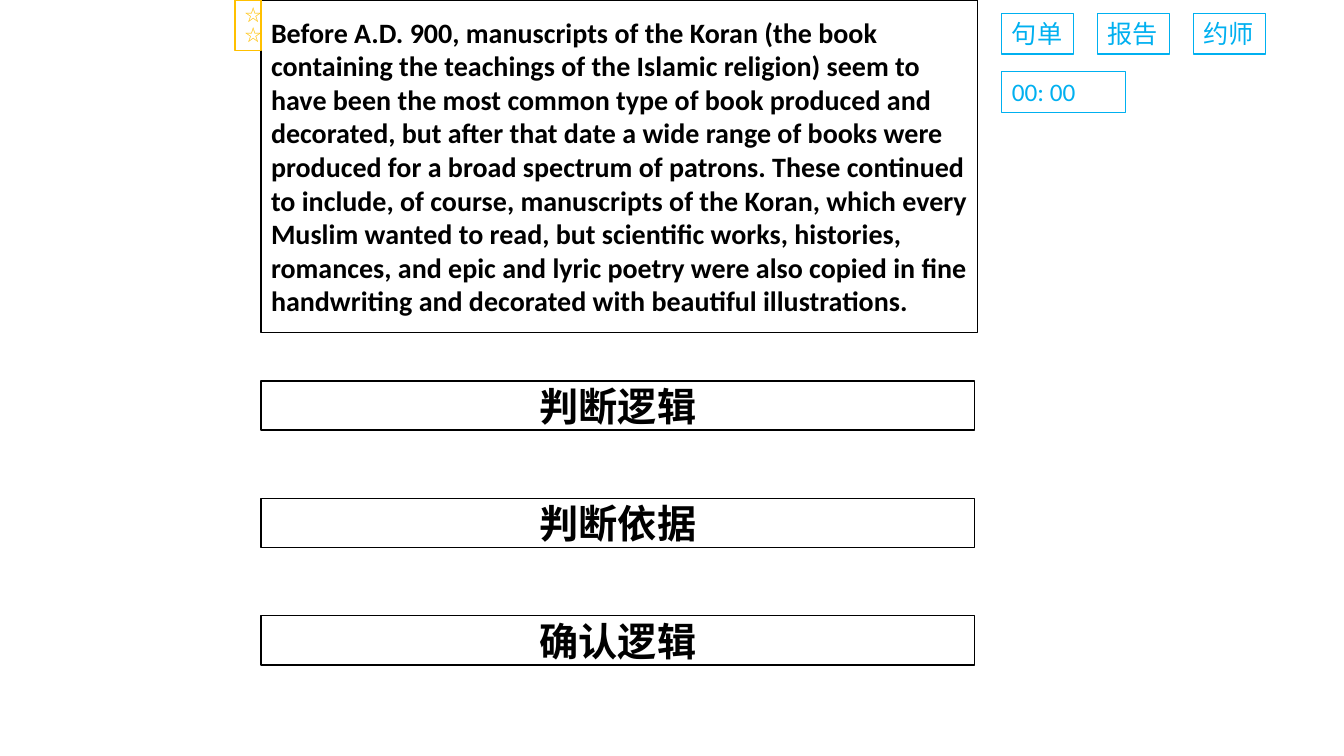
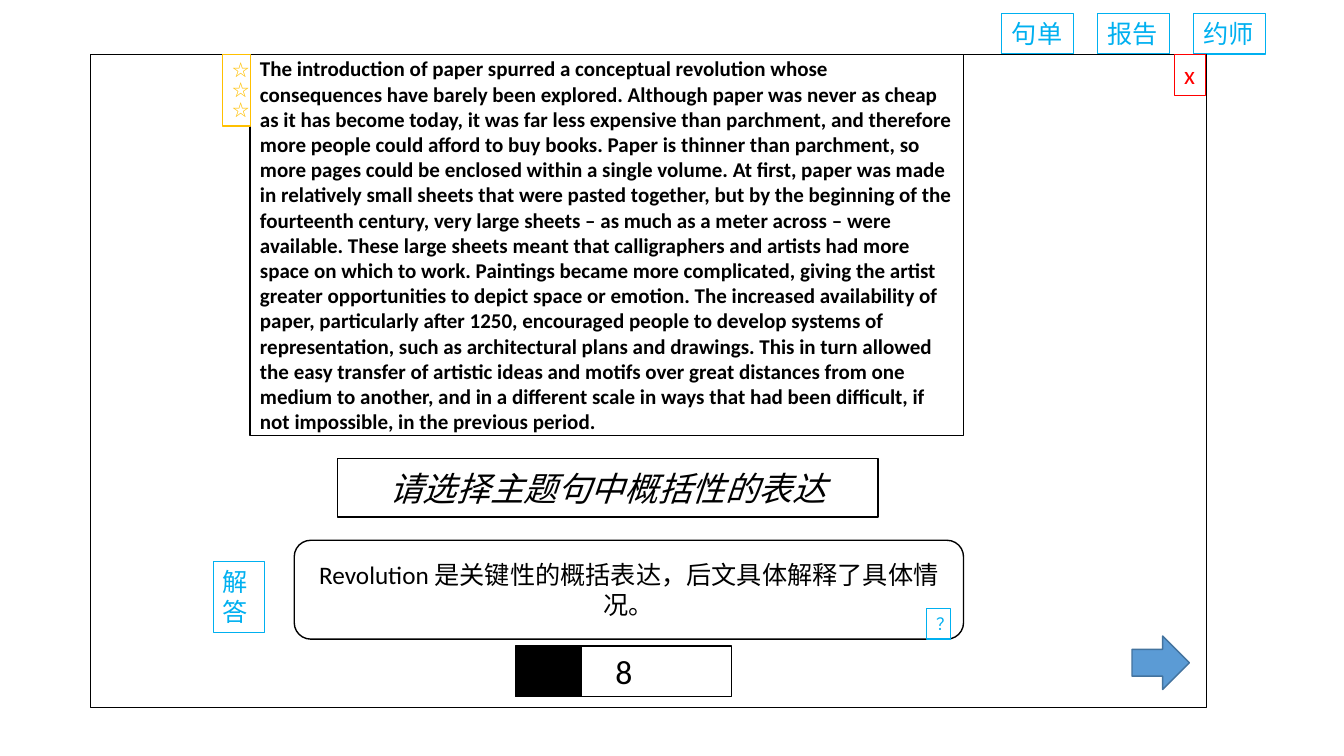
from pptx import Presentation
from pptx.dml.color import RGBColor
from pptx.enum.shapes import MSO_SHAPE as Shape
from pptx.enum.text import MSO_ANCHOR as Anchor, MSO_AUTO_SIZE as Fit, PP_ALIGN as Align
from pptx.util import Pt

BLACK = RGBColor(0x00, 0x00, 0x00)
WHITE = RGBColor(0xFF, 0xFF, 0xFF)
CYAN = RGBColor(0x00, 0xB0, 0xF0)
GOLD = RGBColor(0xFF, 0xC0, 0x00)
RED = RGBColor(0xFF, 0x00, 0x00)
BLUE = RGBColor(0x5B, 0x9B, 0xD5)
NAVY = RGBColor(0x43, 0x73, 0x9E)

LATIN = "Calibri"
CJK = "Noto Sans CJK SC"

STEP = {"size": Pt(28), "bold": True}
PROMPT = {"size": Pt(24), "italic": True}
COUNT = {"size": Pt(24)}
NOTE = {"size": Pt(18)}
STAR = {"size": Pt(12), "name": CJK}

BOOKS = (
    "Before A.D. 900, manuscripts of the Koran (the book containing the "
    "teachings of the Islamic religion) seem to have been the most common "
    "type of book produced and decorated, but after that date a wide range "
    "of books were produced for a broad spectrum of patrons.",
    "These continued to include, of course, manuscripts of the Koran, which "
    "every Muslim wanted to read, but scientific works, histories, romances, "
    "and epic and lyric poetry were also copied in fine handwriting and "
    "decorated with beautiful illustrations.",
)
PAPER = (
    "The introduction of paper spurred a conceptual revolution whose "
    "consequences have barely been explored.",
    "Although paper was never as cheap as it has become today, it was far "
    "less expensive than parchment, and therefore more people could afford "
    "to buy books.",
    "Paper is thinner than parchment, so more pages could be enclosed within "
    "a single volume.",
    "At first, paper was made in relatively small sheets that were pasted "
    "together, but by the beginning of the fourteenth century, very large "
    "sheets – as much as a meter across – were available.",
    "These large sheets meant that calligraphers and artists had more space "
    "on which to work.",
    "Paintings became more complicated, giving the artist greater "
    "opportunities to depict space or emotion.",
    "The increased availability of paper, particularly after 1250, encouraged "
    "people to develop systems of representation, such as architectural plans "
    "and drawings.",
    "This in turn allowed the easy transfer of artistic ideas and motifs over "
    "great distances from one medium to another, and in a different scale in "
    "ways that had been difficult, if not impossible, in the previous period.",
)


def paint(shape, fill, line, width=1):
    if fill is None:
        shape.fill.background()
    else:
        shape.fill.solid()
        shape.fill.fore_color.rgb = fill
    shape.line.color.rgb = line
    shape.line.width = Pt(width)


def write(shape, text, form, color=BLACK, align=Align.CENTER, anchor=Anchor.MIDDLE):
    frame = shape.text_frame
    frame.text = text
    frame.word_wrap = True
    frame.auto_size = Fit.NONE
    frame.vertical_anchor = anchor
    for para in frame.paragraphs:
        para.alignment = align
        for run in para.runs:
            for key, value in {"name": LATIN, **form}.items():
                setattr(run.font, key, value)
            run.font.color.rgb = color


def draw(slide, area, fill=WHITE, line=BLACK, width=1, kind=Shape.RECTANGLE):
    shape = slide.shapes.add_shape(kind, *map(Pt, area))
    shape.shadow.inherit = False
    paint(shape, fill, line, width)
    return shape


def head(slide, area, text, form):
    title = slide.shapes.title
    title.left, title.top, title.width, title.height = map(Pt, area)
    paint(title, WHITE, BLACK)
    write(title, text, form)


def tag(slide, area, text, color=CYAN, size=18):
    shape = draw(slide, area, None, color, 0.75)
    write(shape, text, {"size": Pt(size)}, color, Align.LEFT, Anchor.TOP)


def tabs(slide):
    for i, text in enumerate(("句单", "报告", "约师")):
        tag(slide, (715.7 + 68.5 * i, 9.5, 51.2, 29.1), text)


def prose(slide, area, lines, size):
    form = {"size": Pt(size), "bold": True}
    write(draw(slide, area), " ".join(lines), form, align=Align.LEFT)


def stars(slide, area, text):
    write(draw(slide, area, line=GOLD), text, STAR, GOLD, anchor=Anchor.TOP)


def logic(slide):
    for i, text in enumerate(("判断逻辑", "判断依据", "确认逻辑")):
        area = (186.5, 272 + 83.9 * i, 509.8, 35.3)
        if i == 0:
            head(slide, area, text, STEP)
        else:
            write(draw(slide, area), text, STEP)
    tabs(slide)
    tag(slide, (715.7, 51.1, 88.6, 29.1), "00: 00")
    prose(slide, (186.5, 0, 511.9, 237.6), BOOKS, 20)
    stars(slide, (167.8, 0, 18.7, 36), "☆☆")


def quiz(slide):
    tabs(slide)
    draw(slide, (64.8, 38.9, 797, 466.6), None)
    tag(slide, (838.8, 38.9, 22.6, 29.1), "x", RED)
    head(slide, (241.2, 327.6, 385.9, 41.8), "请选择主题句中概括性的表达", PROMPT)
    tag(slide, (152.2, 401, 37, 51.1), "解\n答")
    note = draw(slide, (210.2, 385.9, 478.1, 70.6), kind=Shape.ROUNDED_RECTANGLE)
    write(note, "Revolution 是关键性的概括表达，后文具体解释了具体情况。", NOTE)
    write(draw(slide, (368.6, 461.5, 154.1, 36)), "8", COUNT)
    draw(slide, (368.6, 461.5, 46.8, 36), BLACK)
    draw(slide, (808.6, 454.3, 41, 38.2), BLUE, NAVY, kind=Shape.RIGHT_ARROW)
    tag(slide, (661.7, 434.9, 17.3, 21.6), "？", size=12)
    prose(slide, (178.6, 38.9, 509.8, 272.2), PAPER, 15)
    stars(slide, (158.9, 38.9, 20.2, 51.1), "☆☆\n☆")


def main():
    deck = Presentation()
    deck.slide_width, deck.slide_height = Pt(960), Pt(540)
    plain = deck.slide_layouts.get_by_name("Title Only")
    for build in (logic, quiz):
        build(deck.slides.add_slide(plain))
    deck.save("out.pptx")


if __name__ == "__main__":
    main()
